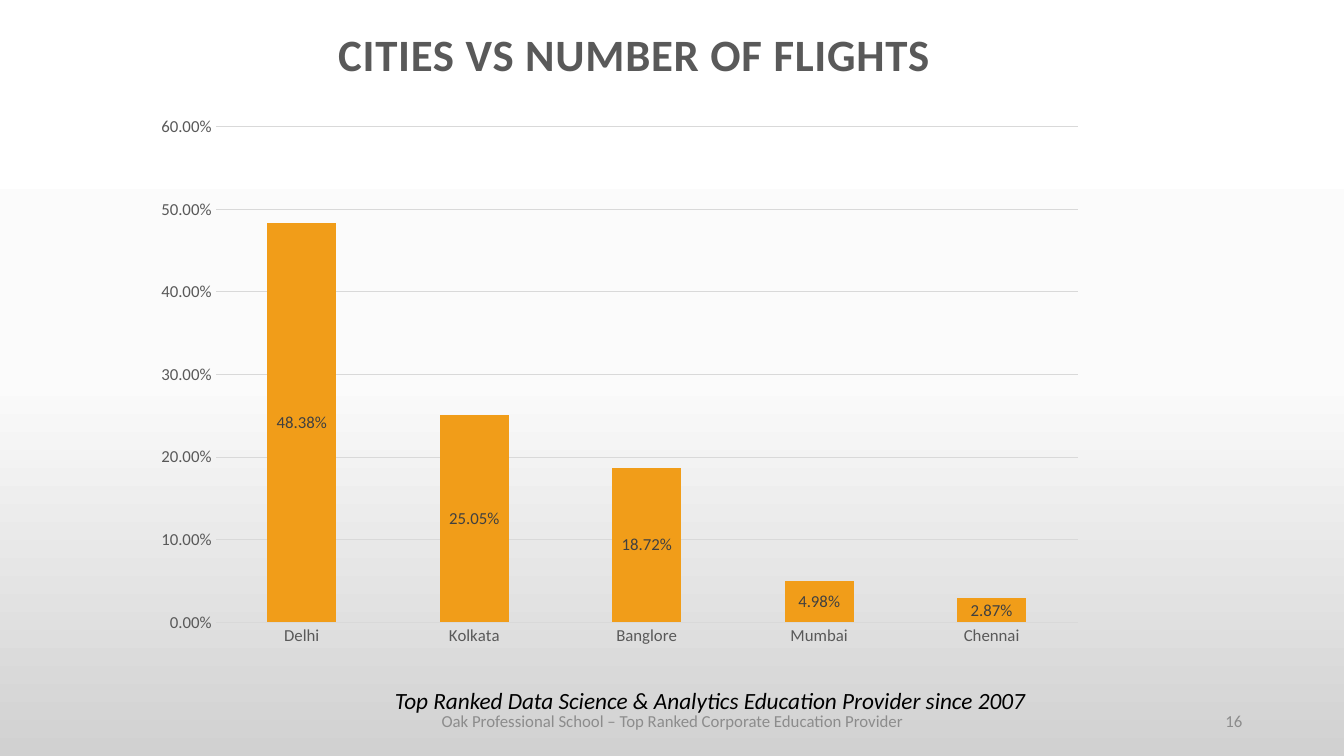
import copy
import dataclasses

import pptx
import pptx.chart.data
import pptx.dml.color
import pptx.enum.chart
import pptx.enum.text
import pptx.oxml.ns
import pptx.util

Inches = pptx.util.Inches
Align = pptx.enum.text.PP_ALIGN
Anchor = pptx.enum.text.MSO_ANCHOR


@dataclasses.dataclass(frozen=True)
class Theme:
    """Hold the colours and type sizes of the slide."""

    font: str = "Calibri"
    title: str = "595959"
    axis: str = "595959"
    tagline: str = "000000"
    footer: str = "8C8C8C"
    label: str = "404040"
    grid: str = "D9D9D9"
    bar: str = "F19D19"
    fade: tuple = ((0, "FFFFFF"), (0.5, "FBFBFB"), (1, "D1D1D1"))
    big: float = 32
    mid: float = 16.6
    small: float = 12


THEME = Theme()
SHARES = {
    "Delhi": 0.4838,
    "Kolkata": 0.2505,
    "Banglore": 0.1872,
    "Mumbai": 0.0498,
    "Chennai": 0.0287,
}


def paint(code):
    """Turn a hex code into a colour."""
    return pptx.dml.color.RGBColor.from_string(code)


def style(font, size, code, bold=False, slant=False):
    """Set the face, size and colour of a font."""
    font.name = THEME.font
    font.size = pptx.util.Pt(size)
    font.color.rgb = paint(code)
    font.bold = bold
    font.italic = slant


def write(slide, text, box, size, code, align=Align.CENTER,
          anchor=Anchor.MIDDLE, pitch=1.0, track=0, **looks):
    """Place one line of text in a box."""
    frame = slide.shapes.add_textbox(*map(Inches, box)).text_frame
    frame.word_wrap = True
    frame.vertical_anchor = anchor
    line = frame.paragraphs[0]
    line.alignment = align
    line.line_spacing = pitch
    run = line.add_run()
    run.text = text
    style(run.font, size, code, **looks)
    if track:
        run.font._element.set("spc", str(track))


def shade(slide):
    """Fill the background from white down to grey."""
    fill = slide.background.fill
    fill.gradient()
    fill.gradient_angle = 270
    stops = slide._element.find(".//" + pptx.oxml.ns.qn("a:gsLst"))
    stops.insert(1, copy.deepcopy(stops[0]))
    for stop, (place, code) in zip(fill.gradient_stops, THEME.fade):
        stop.position = place
        stop.color.rgb = paint(code)


def trim(axis):
    """Strip an axis of ticks and line and style its labels."""
    axis.major_tick_mark = pptx.enum.chart.XL_TICK_MARK.NONE
    axis.minor_tick_mark = pptx.enum.chart.XL_TICK_MARK.NONE
    axis.format.line.fill.background()
    style(axis.tick_labels.font, THEME.small, THEME.axis)


def plot(slide, shares, box):
    """Draw the share of flights per city as columns."""
    data = pptx.chart.data.CategoryChartData(number_format="0.00%")
    data.categories = list(shares)
    data.add_series("Series 1", list(shares.values()))
    kind = pptx.enum.chart.XL_CHART_TYPE.COLUMN_STACKED
    chart = slide.shapes.add_chart(kind, *map(Inches, box), data).chart
    chart.has_title = False
    chart.has_legend = False
    style(chart.font, THEME.small, THEME.axis)
    trim(chart.category_axis)

    scale = chart.value_axis
    trim(scale)
    scale.minimum_scale = 0
    scale.maximum_scale = 0.6
    scale.major_unit = 0.1
    scale.tick_labels.number_format = "0.00%"
    scale.tick_labels.number_format_is_linked = False
    grid = scale.major_gridlines.format.line
    grid.color.rgb = paint(THEME.grid)
    grid.width = pptx.util.Pt(0.75)

    bars = chart.plots[0]
    bars.gap_width = 150
    bars.overlap = 100
    bars.vary_by_categories = False
    fill = bars.series[0].format.fill
    fill.solid()
    fill.fore_color.rgb = paint(THEME.bar)
    bars.has_data_labels = True
    labels = bars.data_labels
    labels.show_value = True
    labels.number_format = "0.00%"
    labels.number_format_is_linked = False
    labels.position = pptx.enum.chart.XL_LABEL_POSITION.CENTER
    style(labels.font, THEME.small, THEME.label)


def main():
    """Build the slide and save it."""
    deck = pptx.Presentation()
    deck.slide_width = Inches(13.33)
    deck.slide_height = Inches(7.5)
    slide = deck.slides.add_slide(deck.slide_layouts[6])
    shade(slide)
    write(slide, "Oak Professional School – Top Ranked Corporate Education Provider",
          (4.26, 6.95, 4.82, 0.4), THEME.small, THEME.footer)
    write(slide, "Top Ranked Data Science & Analytics Education Provider since 2007",
          (2.32, 6.75, 9.44, 0.4), THEME.mid, THEME.tagline, slant=True)
    write(slide, "16", (9.42, 6.95, 3, 0.4), THEME.small, THEME.footer,
          align=Align.RIGHT)
    write(slide, "CITIES VS NUMBER OF FLIGHTS", (0.48, 0.23, 11.62, 0.63),
          THEME.big, THEME.title, anchor=Anchor.BOTTOM, pitch=0.9,
          track=50, bold=True)
    plot(slide, SHARES, (1.41, 1.05, 9.47, 5.47))
    deck.save("out.pptx")


main()
